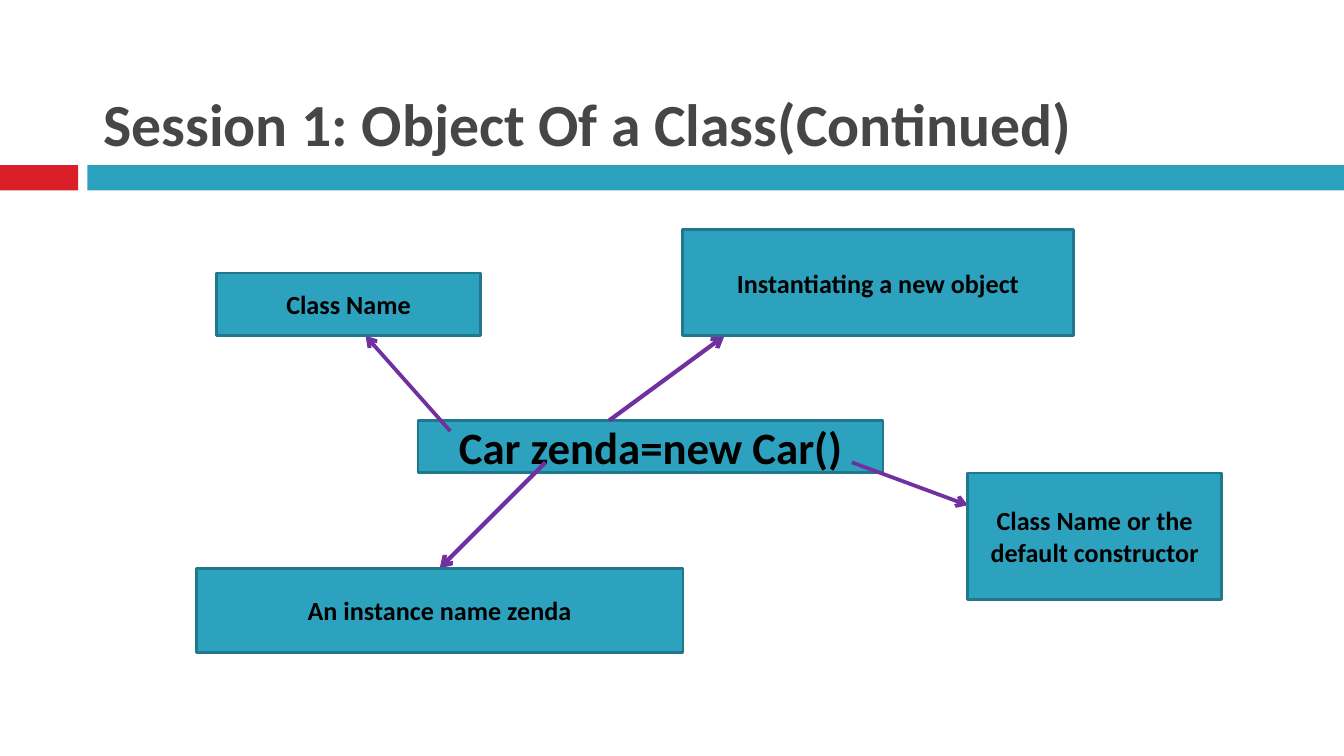
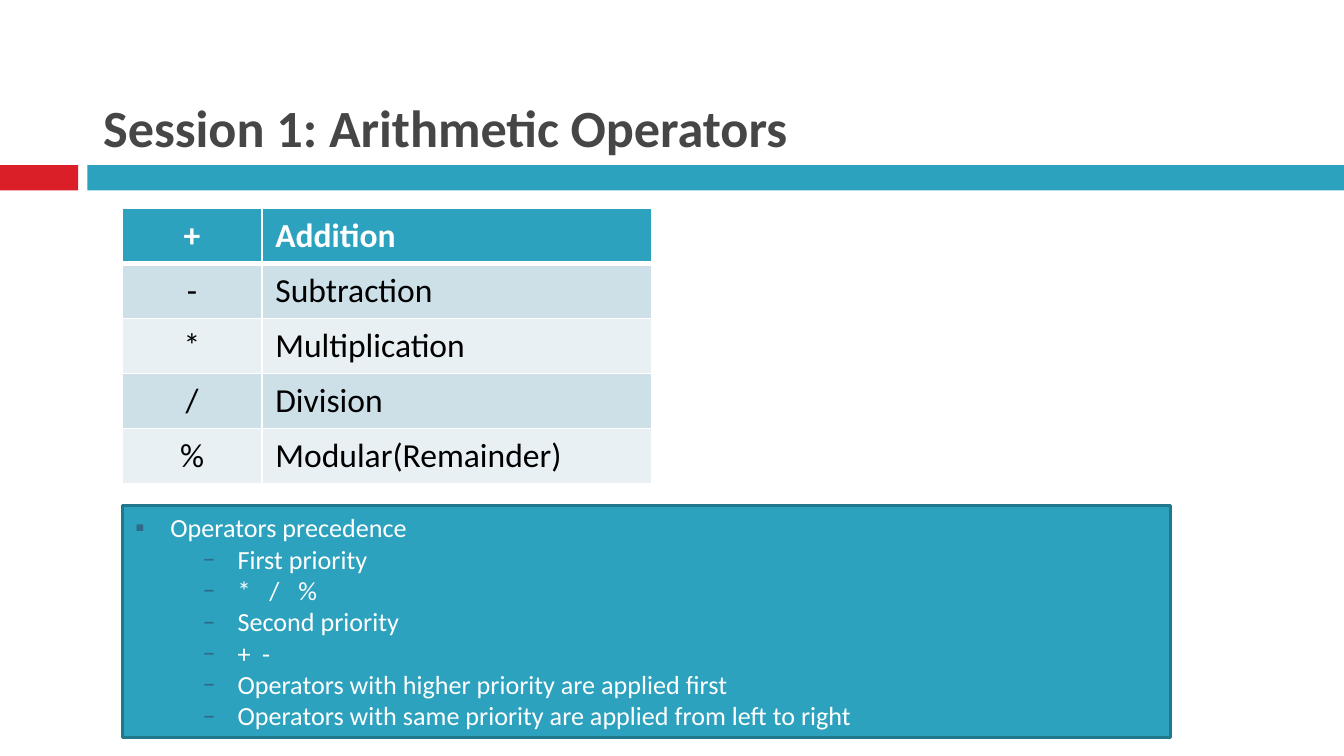
from lxml.etree import SubElement
from pptx import Presentation
from pptx.dml.color import RGBColor
from pptx.enum.shapes import MSO_CONNECTOR, MSO_SHAPE
from pptx.enum.text import MSO_ANCHOR, PP_ALIGN
from pptx.oxml.ns import qn
from pptx.util import Cm, Pt

WHITE = RGBColor(0xFF, 0xFF, 0xFF)
BLACK = RGBColor(0x00, 0x00, 0x00)
GREY = RGBColor(0x46, 0x46, 0x46)
RED = RGBColor(0xDA, 0x1F, 0x28)
TEAL = RGBColor(0x2D, 0xA2, 0xBF)
EDGE = RGBColor(0x21, 0x78, 0x8D)
PURPLE = RGBColor(0x70, 0x30, 0xA0)
MARK = RGBColor(0x2F, 0x6B, 0x89)
ROWS = (RGBColor(0xE8, 0xF0, 0xF4), RGBColor(0xCD, 0xE0, 0xE8))
FONT = "Calibri"


class Deck:
    def __init__(self):
        self.show = Presentation()
        self.show.slide_width = Cm(25.4)
        self.show.slide_height = Cm(14.29)

    def page(self, title, size):
        layout = self.show.slide_layouts[6]
        self.shapes = self.show.slides.add_slide(layout).shapes
        self.rect((0, 3.12, 1.48, 0.48), RED)
        self.rect((1.65, 3.12, 23.75, 0.48), TEAL)
        frame = self.shapes.add_textbox(*map(Cm, (1.7, 0.33, 23.7, 2.79))).text_frame
        frame.word_wrap = True
        frame.vertical_anchor = MSO_ANCHOR.BOTTOM
        self.words(frame.paragraphs[0], title, size, GREY, True)

    def words(self, para, text, size, color, bold=False, align=PP_ALIGN.LEFT):
        para.text = text
        para.alignment = align
        for run in para.runs:
            run.font.name = FONT
            run.font.size = Pt(size)
            run.font.bold = bold
            run.font.color.rgb = color

    def rect(self, place, fill, edge=None):
        shape = self.shapes.add_shape(MSO_SHAPE.RECTANGLE, *map(Cm, place))
        shape.shadow.inherit = False
        shape.fill.solid()
        shape.fill.fore_color.rgb = fill
        if edge:
            shape.line.color.rgb = edge
            shape.line.width = Pt(1.5)
        else:
            shape.line.fill.background()
        frame = shape.text_frame
        frame.word_wrap = True
        frame.vertical_anchor = MSO_ANCHOR.MIDDLE
        return frame

    def label(self, place, text, size=14):
        frame = self.rect(place, TEAL, EDGE)
        self.words(frame.paragraphs[0], text, size, BLACK, True, PP_ALIGN.CENTER)

    def arrow(self, ends, width):
        line = self.shapes.add_connector(MSO_CONNECTOR.STRAIGHT, *map(Cm, ends))
        line.line.color.rgb = PURPLE
        line.line.width = Pt(width)
        props = line._element.spPr
        SubElement(props.find(qn("a:ln")), qn("a:tailEnd"), type="arrow")
        SubElement(props, qn("a:effectLst"))

    def border(self, cell, row):
        props = cell._tc.get_or_add_tcPr()
        thick = {(0, "B"), (1, "T")}
        for side in "LRTB":
            width = Pt(3 if (row, side) in thick else 1)
            edge = SubElement(props, qn("a:ln" + side), w=str(width))
            fill = SubElement(edge, qn("a:solidFill"))
            SubElement(fill, qn("a:srgbClr"), val=str(WHITE))

    def table(self, place, widths, data):
        grid = self.shapes.add_table(len(data), len(widths), *map(Cm, place)).table
        for col, width in zip(grid.columns, widths):
            col.width = Cm(width)
        for r, row in enumerate(data):
            head = r == 0
            for c, text in enumerate(row):
                cell = grid.cell(r, c)
                self.border(cell, r)
                cell.fill.solid()
                cell.fill.fore_color.rgb = TEAL if head else ROWS[r % 2]
                self.words(cell.text_frame.paragraphs[0], text, 18,
                           WHITE if head else BLACK, head,
                           PP_ALIGN.LEFT if c else PP_ALIGN.CENTER)

    def bullet(self, para, level):
        para.level = level
        props = para._p.get_or_add_pPr()
        props.set("marL", str(Cm(1.93 if level else 0.66)))
        props.set("indent", str(Cm(-0.66)))
        color = SubElement(props, qn("a:buClr"))
        SubElement(color, qn("a:srgbClr"), val=str(MARK))
        SubElement(props, qn("a:buFont"), typeface=FONT)
        SubElement(props, qn("a:buChar"), char="–" if level else "▪")

    def points(self, place, items):
        frame = self.rect(place, TEAL, EDGE)
        for i, (level, text, gap) in enumerate(items):
            para = frame.add_paragraph() if i else frame.paragraphs[0]
            self.words(para, text, 14, WHITE)
            self.bullet(para, level)
            if gap:
                para.runs[0]._r.get_or_add_rPr().set("spc", str(gap))


def main():
    deck = Deck()

    deck.page("Session 1: Object Of a Class(Continued)", 32)
    deck.label((7.9, 7.95, 8.79, 0.99), "Car zenda=new Car()", 24)
    notes = [
        ("Instantiating a new object", (12.9, 4.34, 7.39, 2.01),
         (11.51, 7.95, 13.69, 6.35), 2.25),
        ("Class Name or the default constructor", (18.29, 8.94, 4.8, 2.39),
         (16.1, 8.74, 18.29, 9.55), 2),
        ("An instance name zenda", (3.71, 10.74, 9.2, 1.6),
         (10.31, 8.74, 8.31, 10.74), 2.25),
        ("Class Name", (4.09, 5.16, 5, 1.19),
         (8.51, 8.15, 6.91, 6.35), 2),
    ]
    for text, place, ends, width in notes:
        deck.arrow(ends, width)
        deck.label(place, text)

    deck.page("Session 1: Arithmetic Operators", 28)
    deck.table((2.31, 3.94, 10.01, 5.2), (2.64, 7.37), [
        ("+", "Addition"),
        ("-", "Subtraction"),
        ("*", "Multiplication"),
        ("/", "Division"),
        ("%", "Modular(Remainder)"),
    ])
    deck.points((2.31, 9.55, 19.81, 4.39), [
        (0, "Operators precedence", 0),
        (1, "First priority", 0),
        (1, "* / %", 350),
        (1, "Second priority", 0),
        (1, "+ -", 150),
        (1, "Operators with higher priority are applied first", 0),
        (1, "Operators with same priority are applied from left to right", 0),
    ])

    deck.show.save("out.pptx")


if __name__ == "__main__":
    main()
